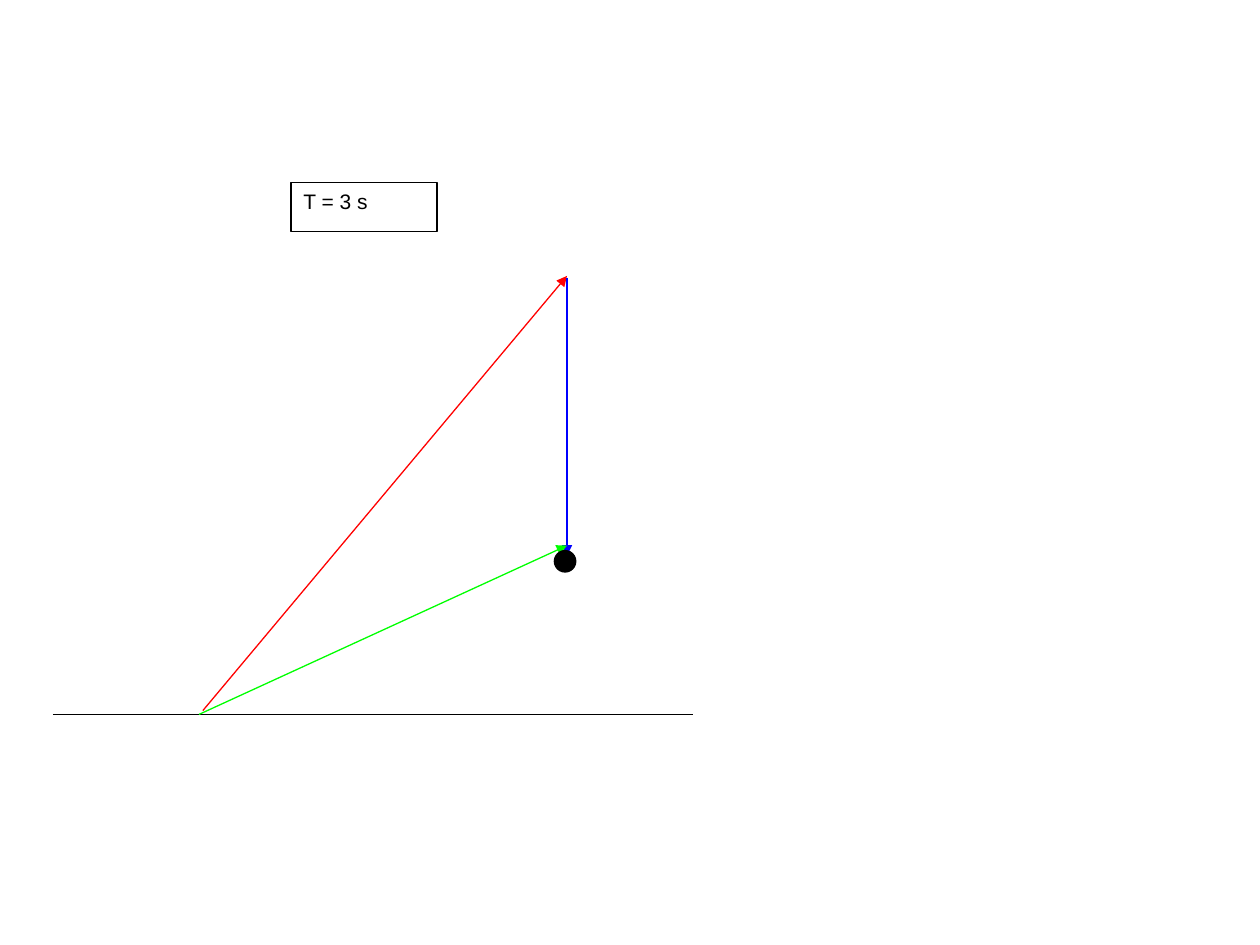
import pptx
import pptx.util
import pptx.dml.color
import pptx.enum.shapes
import pptx.enum.text
import pptx.oxml.ns
import lxml.etree

COLORS = {
    "paper": "FFFFFF",
    "ink": "000000",
    "launch": "FF0000",
    "fall": "0000FF",
    "position": "00FF00",
}
COLUMNS, ROWS = 100, 75
LINE_WIDTH = pptx.util.Pt(0.75)

deck = pptx.Presentation()
deck.slide_width = pptx.util.Inches(10)
deck.slide_height = pptx.util.Inches(7.5)
CELL_W = deck.slide_width / COLUMNS
CELL_H = deck.slide_height / ROWS


def color(name):
    return pptx.dml.color.RGBColor.from_string(COLORS[name])


def place(box, column, row):
    return round((box[0] + column) * CELL_W), round((box[1] + row) * CELL_H)


def add_line(slide, box, start, end, ink, arrow=True):
    line = slide.shapes.add_connector(
        pptx.enum.shapes.MSO_CONNECTOR.STRAIGHT,
        *place(box, *start), *place(box, *end))
    line.line.color.rgb = color(ink)
    line.line.width = LINE_WIDTH
    if arrow:
        lxml.etree.SubElement(line.line._get_or_add_ln(),
                              pptx.oxml.ns.qn("a:tailEnd"), type="triangle")
    lxml.etree.SubElement(line._element.spPr, pptx.oxml.ns.qn("a:effectLst"))


def add_figure(slide, box, kind, corner, size, fill):
    figure = slide.shapes.add_shape(
        kind, *place(box, *corner),
        round(size[0] * CELL_W), round(size[1] * CELL_H))
    figure.shadow.inherit = False
    figure.fill.solid()
    figure.fill.fore_color.rgb = color(fill)
    figure.line.color.rgb = color("ink")
    figure.line.width = LINE_WIDTH
    return figure


def add_time_label(slide, box, text):
    label = add_figure(slide, box, pptx.enum.shapes.MSO_SHAPE.RECTANGLE,
                       (0, 0), box[2:], "paper")
    frame = label.text_frame
    frame.word_wrap = True
    frame.vertical_anchor = pptx.enum.text.MSO_ANCHOR.TOP
    paragraph = frame.paragraphs[0]
    paragraph.alignment = pptx.enum.text.PP_ALIGN.LEFT
    run = paragraph.add_run()
    run.text = text
    run.font.name = "Arial"
    run.font.size = pptx.util.Pt(12)
    run.font.color.rgb = color("ink")


def add_projectile(slide, box):
    left, top, width, height = box
    ball_column = 40.8
    add_line(slide, box, (11.9, height - 0.3), (ball_column, 7.4), "launch")
    add_line(slide, box, (ball_column, 7.6), (ball_column, 29.6), "fall")
    add_time_label(slide, (left + 18.9, top, 11.6, 3.9), "T = 3 s")
    add_line(slide, box, (0, height), (width, height), "ink", arrow=False)
    add_line(slide, box, (11.6, height), (ball_column, 28.8), "position")
    add_figure(slide, box, pptx.enum.shapes.MSO_SHAPE.OVAL,
               (39.8, 29.2), (1.7, 1.7), "ink")


motion = deck.slides.add_slide(deck.slide_layouts[6])
motion.background.fill.solid()
motion.background.fill.fore_color.rgb = color("paper")
add_projectile(motion, (4.2, 14.5, 50.8, 42.2))
deck.save("out.pptx")
